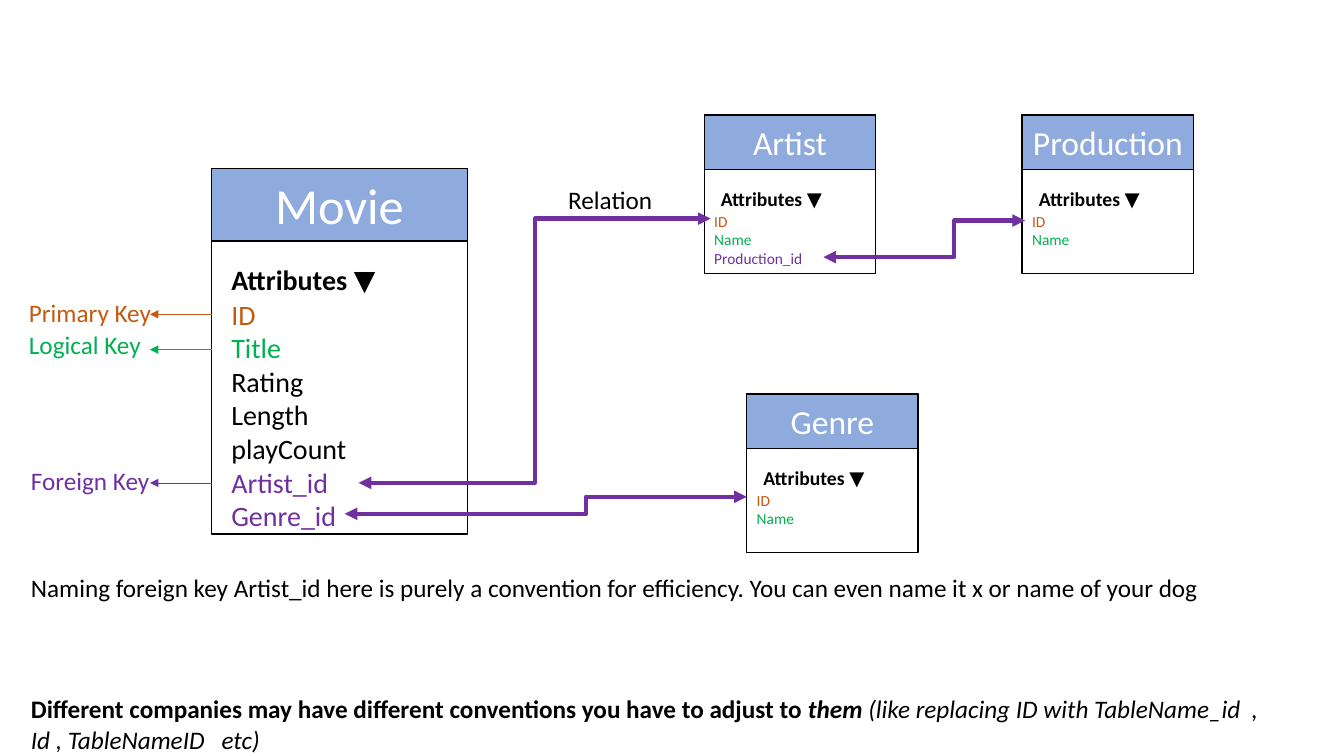
import pptx
import pptx.util
import pptx.dml.color
import pptx.enum.shapes
import pptx.enum.text
import pptx.oxml.ns
from dataclasses import dataclass
from lxml import etree

Cm, Pt = pptx.util.Cm, pptx.util.Pt
SHAPE = pptx.enum.shapes.MSO_SHAPE
CONNECTOR = pptx.enum.shapes.MSO_CONNECTOR
ALIGN = pptx.enum.text.PP_ALIGN
ANCHOR = pptx.enum.text.MSO_ANCHOR


@dataclass(frozen=True)
class Theme:
    font: str = "Calibri"
    header: str = "8FAADC"
    header_text: str = "FFFFFF"
    text: str = "000000"
    primary: str = "C55A11"
    logical: str = "00B050"
    foreign: str = "7030A0"
    body: int = 18
    border: float = 1
    key_line: float = 0.5
    relation_line: float = 3


@dataclass(frozen=True)
class CardStyle:
    """Lengths in cm, type sizes in points; offsets run from the card's corner."""
    width: float
    height: float
    header: float
    caption_at: tuple
    fields_at: tuple
    title_size: int
    caption_size: int
    field_size: int


THEME = Theme()
LARGE = CardStyle(6.45, 9.22, 1.83, (0.25, 2.24), (0.25, 3.12), 36, 20, 20)
SMALL = CardStyle(4.32, 3.99, 1.37, (0.17, 1.68), (0, 2.31), 24, 14, 11)

ID = ("ID", THEME.primary)
NAME = ("Name", THEME.logical)
# title, left, top, style, fields
CARDS = [
    ("Movie", 5.33, 4.24, LARGE, [
        ID, ("Title", THEME.logical), ("Rating", THEME.text),
        ("Length", THEME.text), ("playCount", THEME.text),
        ("Artist_id", THEME.foreign), ("Genre_id", THEME.foreign)]),
    ("Artist", 17.75, 2.9, SMALL, [ID, NAME, ("Production_id", THEME.foreign)]),
    ("Production", 25.76, 2.9, SMALL, [ID, NAME]),
    ("Genre", 18.82, 9.93, SMALL, [ID, NAME]),
]
# label, colour, left, top, arrow height
KEYS = [
    ("Primary Key", THEME.primary, 0.48, 7.37, 7.92),
    ("Logical Key", THEME.logical, 0.48, 8.18, 8.81),
    ("Foreign Key", THEME.foreign, 0.53, 11.61, 12.17),
]
KEY_ARROW = (5.33, 3.78)
# start, end, share of the width at which the line bends
RELATIONS = [
    ((9.04, 12.17), (17.91, 5.51), 0.5),
    ((20.75, 6.48), (25.83, 5.56), 0.65),
    ((8.69, 12.95), (18.82, 12.52), 0.6),
]
CONVENTION = ("Naming foreign key Artist_id here is purely a convention for "
              "efficiency. You can even name it x or name of your dog")
# text, bold, italic
ADVICE = [
    ("Different companies may have different conventions you have to adjust to ",
     True, False),
    ("them ", True, True),
    ("(like replacing ID with TableName_id  , Id , TableNameID   etc)",
     False, True),
]


def rgb(colour):
    return pptx.dml.color.RGBColor.from_string(colour)


def add_run(p, text, size, colour, bold=False, italic=False):
    r = p.add_run()
    r.text = text
    r.font.name = THEME.font
    r.font.size = Pt(size)
    r.font.bold = bold
    r.font.italic = italic
    r.font.color.rgb = rgb(colour)


def add_text(shapes, left, top, width, height, lines, size, bold=False):
    """Add a text box with one paragraph per (text, colour) line."""
    tf = shapes.add_textbox(Cm(left), Cm(top), Cm(width), Cm(height)).text_frame
    tf.word_wrap = True
    for i, (text, colour) in enumerate(lines):
        p = tf.add_paragraph() if i else tf.paragraphs[0]
        add_run(p, text, size, colour, bold)
    return tf


def add_box(shapes, left, top, width, height, fill=None):
    sp = shapes.add_shape(SHAPE.RECTANGLE, Cm(left), Cm(top), Cm(width), Cm(height))
    sp.shadow.inherit = False
    sp.line.color.rgb = rgb(THEME.text)
    sp.line.width = Pt(THEME.border)
    if fill:
        sp.fill.solid()
        sp.fill.fore_color.rgb = rgb(fill)
    else:
        sp.fill.background()
    return sp


def add_card(slide, title, left, top, style, fields):
    shapes = slide.shapes.add_group_shape().shapes
    add_box(shapes, left, top, style.width, style.height)
    header = add_box(shapes, left, top, style.width, style.header, THEME.header)
    tf = header.text_frame
    tf.vertical_anchor = ANCHOR.MIDDLE
    tf.word_wrap = True
    tf.paragraphs[0].alignment = ALIGN.CENTER
    add_run(tf.paragraphs[0], title, style.title_size, THEME.header_text)

    dx, dy = style.caption_at
    add_text(shapes, left + dx, top + dy, style.width - dx, 0.85,
             [("Attributes ▼", THEME.text)], style.caption_size, True)
    dx, dy = style.fields_at
    add_text(shapes, left + dx, top + dy, style.width * 0.8, style.height - dy,
             fields, style.field_size)


def add_arrow(slide, kind, start, end, colour, width, ends):
    cx = slide.shapes.add_connector(kind, *map(Cm, start + end))
    cx.line.color.rgb = rgb(colour)
    cx.line.width = Pt(width)
    qn = pptx.oxml.ns.qn
    for tag in ends:
        etree.SubElement(cx.line._get_or_add_ln(), qn(tag), type="triangle")
    etree.SubElement(cx._element.spPr, qn("a:effectLst"))
    return cx


def add_relation(slide, start, end, bend):
    cx = add_arrow(slide, CONNECTOR.ELBOW, start, end, THEME.foreign,
                   THEME.relation_line, ("a:headEnd", "a:tailEnd"))
    qn = pptx.oxml.ns.qn
    guides = cx._element.spPr.find(qn("a:prstGeom")).get_or_add_avLst()
    etree.SubElement(guides, qn("a:gd"), name="adj1",
                     fmla=f"val {round(bend * 100000)}")


def main():
    prs = pptx.Presentation()
    prs.slide_width, prs.slide_height = Cm(33.87), Cm(19.05)
    slide = prs.slides.add_slide(prs.slide_layouts[6])

    for card in CARDS:
        add_card(slide, *card)
    for label, colour, left, top, y in KEYS:
        add_arrow(slide, CONNECTOR.STRAIGHT, (KEY_ARROW[0], y), (KEY_ARROW[1], y),
                  colour, THEME.key_line, ("a:tailEnd",))
        add_text(slide.shapes, left, top, 3.58, 1.02, [(label, colour)], THEME.body)
    for relation in RELATIONS:
        add_relation(slide, *relation)
    add_text(slide.shapes, 14.07, 4.52, 3.76, 1.02,
             [("Relation", THEME.text)], THEME.body)

    tf = add_text(slide.shapes, 0.53, 14.3, 32.36, 4.11,
                  [(CONVENTION, THEME.text)], THEME.body)
    p = tf.add_paragraph()
    p.space_before = Pt(65)
    for text, bold, italic in ADVICE:
        add_run(p, text, THEME.body, THEME.text, bold, italic)

    prs.save("out.pptx")


if __name__ == "__main__":
    main()
